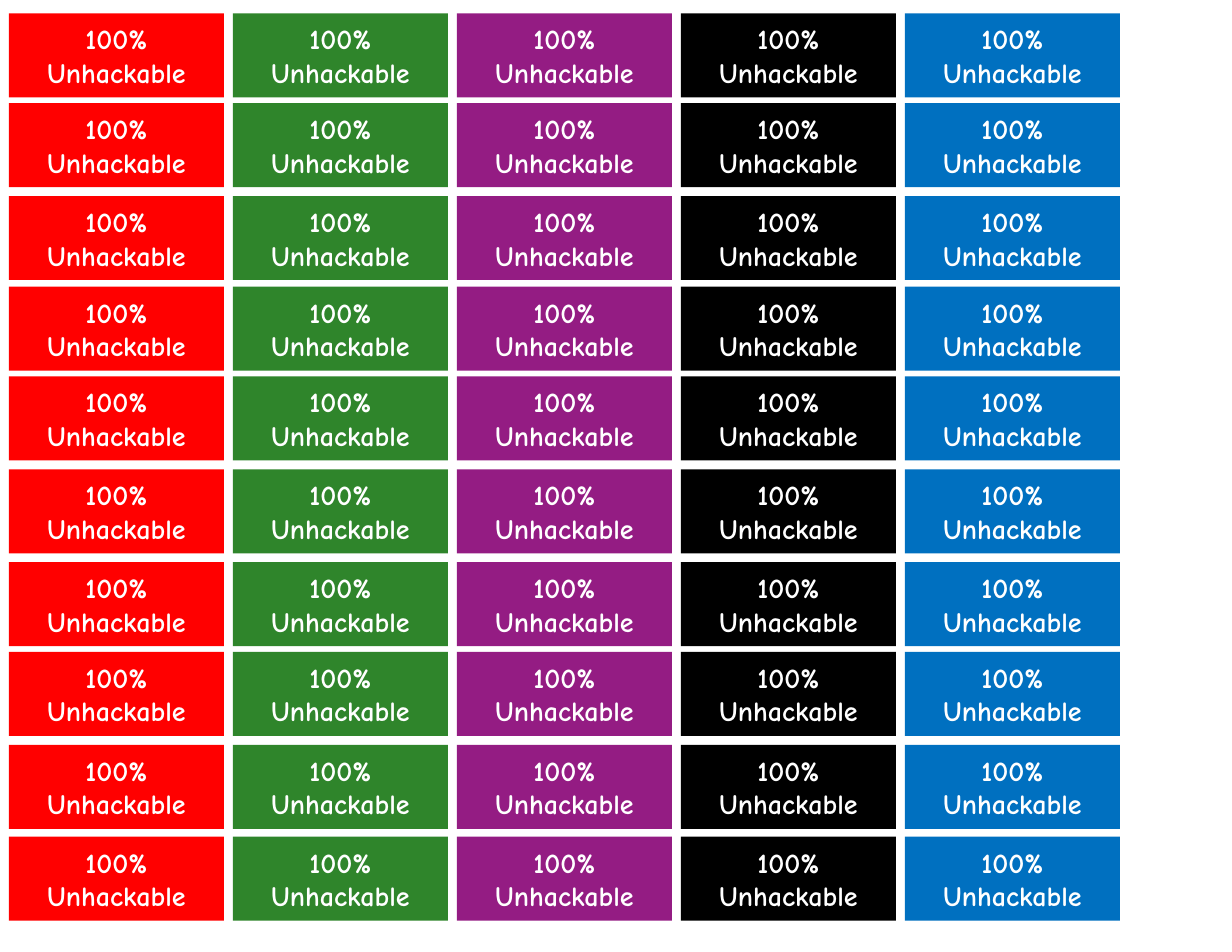
from pptx import Presentation
from pptx.dml.color import RGBColor as RGB
from pptx.enum.shapes import MSO_SHAPE as Shape
from pptx.enum.text import MSO_ANCHOR as Anchor, PP_ALIGN as Align
from pptx.util import Inches, Pt

COLORS = {
    "red": "FF0000",
    "green": "2F852B",
    "purple": "941C83",
    "black": "000000",
    "blue": "0070C0",
    "text": "FFFFFF",
}
COLUMNS = ["red", "green", "purple", "black", "blue"]
# The rows are not quite evenly spaced, so each top is given.
ROW_TOPS = [0.12, 0.92, 1.75, 2.56, 3.36, 4.19, 5.02, 5.82, 6.65, 7.47]
LEFT, COLUMN_PITCH = 0.08, 2
LABEL_WIDTH, LABEL_HEIGHT = 1.92, 0.75
LABEL_LINES = ["100%", "Unhackable"]

deck = Presentation()
deck.slide_width, deck.slide_height = Inches(11), Inches(8.5)
page = deck.slides.add_slide(deck.slide_layouts[6])

for column, color in enumerate(COLUMNS):
    for top in ROW_TOPS:
        label = page.shapes.add_shape(
            Shape.RECTANGLE,
            Inches(LEFT + column * COLUMN_PITCH), Inches(top),
            Inches(LABEL_WIDTH), Inches(LABEL_HEIGHT),
        )
        label.shadow.inherit = False
        label.fill.solid()
        label.fill.fore_color.rgb = RGB.from_string(COLORS[color])
        label.line.fill.background()

        frame = label.text_frame
        frame.word_wrap = True
        frame.vertical_anchor = Anchor.MIDDLE
        frame.text = "\n".join(LABEL_LINES)
        for para in frame.paragraphs:
            para.alignment = Align.CENTER
            para.font.name = "Comic Neue"
            para.font.size = Pt(18)
            para.font.bold = True
            para.font.color.rgb = RGB.from_string(COLORS["text"])

deck.save("out.pptx")
